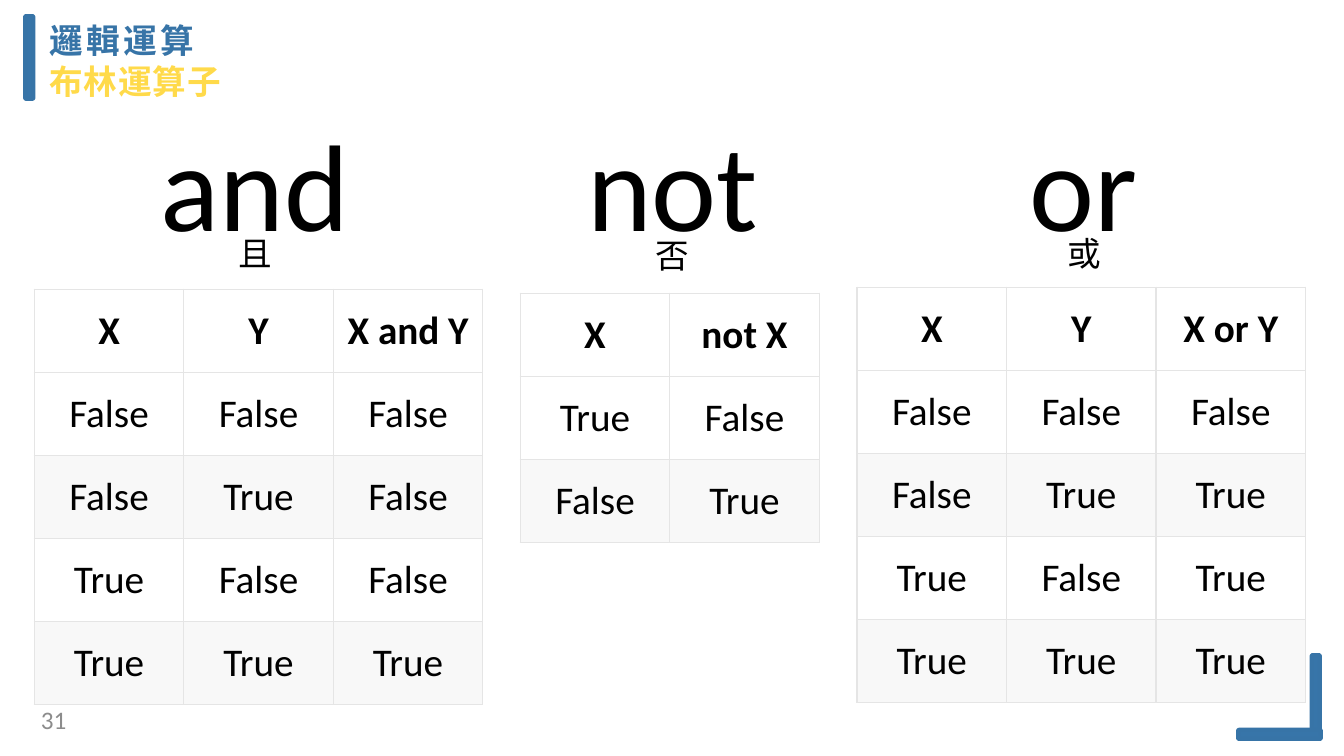
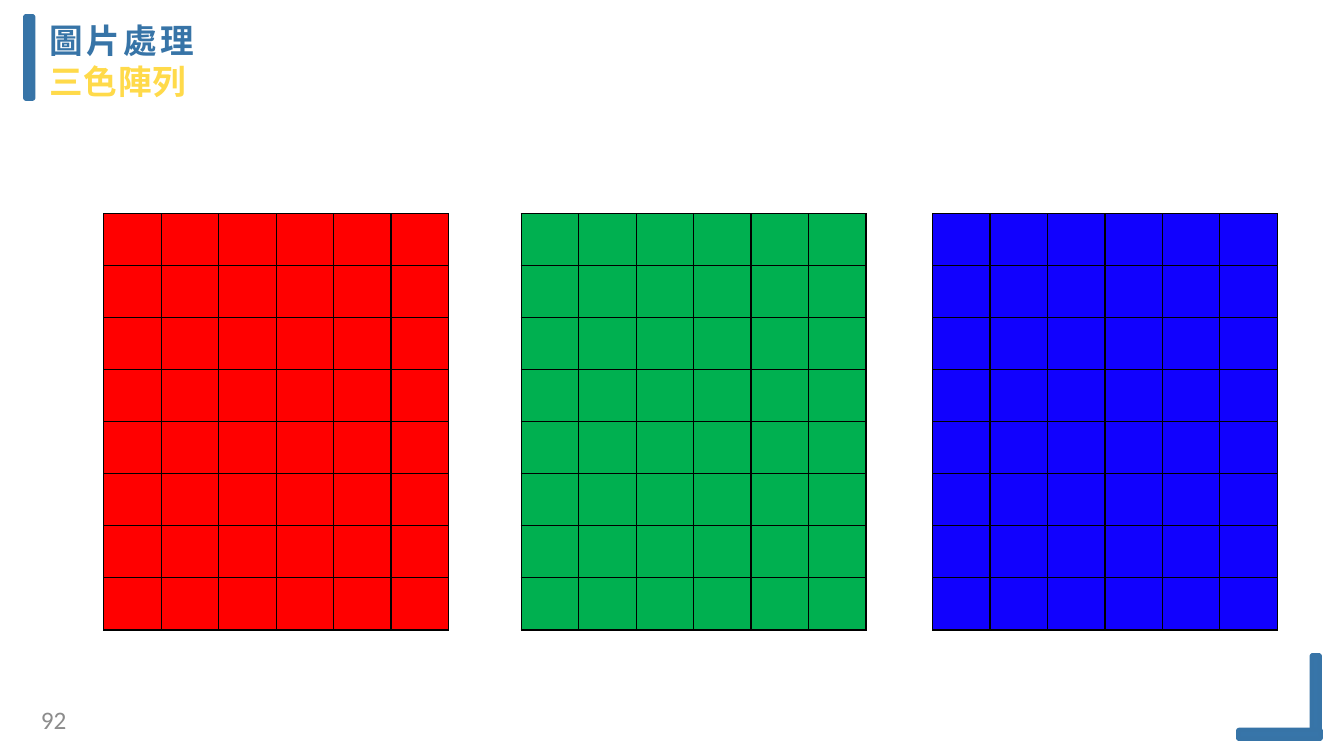
from dataclasses import dataclass

from lxml.etree import SubElement
from pptx import Presentation
from pptx.dml.color import RGBColor as RGB
from pptx.enum.shapes import MSO_SHAPE as SHAPE
from pptx.enum.text import MSO_ANCHOR as ANCHOR, MSO_AUTO_SIZE as FIT, PP_ALIGN as ALIGN
from pptx.oxml import parse_xml
from pptx.oxml.ns import nsdecls, qn
from pptx.util import Pt

PX = 9144


@dataclass(frozen=True)
class Theme:
    blue: str = "3774A7"
    bar: str = "3775A9"
    yellow: str = "FFDA4A"
    black: str = "000000"
    white: str = "FFFFFF"
    band: str = "F8F8F8"
    rule: str = "E5E5E5"
    grey: str = "8C8C8C"
    latin: str = "Calibri"
    cjk: str = "Noto Sans CJK SC"
    title_size: int = 24
    title_line: float = 28.5
    word_size: int = 88
    cell_size: int = 28
    number_size: int = 18
    bar_line: int = 3


T = Theme()

SIZE = (1333, 750)
TITLE_BOX = (48, 16, 452, 84)
NUMBER_BOX = (8, 699, 58, 30)
BARS = [(25, 16, 8, 82), (1301, 650, 8, 83), (1228, 724, 82, 9)]
WORD_TOP, WORD_W, WORD_H = 103, 250, 158
LABEL_W, LABEL_H = 92, 50
COL_W, ROW_H = 148.3, 82.4

LOGIC = {"lines": ("邏輯運算", "布林運算子"), "font": T.cjk, "number": "31"}
OPERATORS = [
    {"word": "and", "label": "且", "center": 253, "label_top": 231, "at": (34, 287),
     "rows": [("X", "Y", "X and Y"),
              ("False", "False", "False"),
              ("False", "True", "False"),
              ("True", "False", "False"),
              ("True", "True", "True")]},
    {"word": "not", "label": "否", "center": 667, "label_top": 233, "at": (516, 291),
     "rows": [("X", "not X"),
              ("True", "False"),
              ("False", "True")]},
    {"word": "or", "label": "或", "center": 1075, "label_top": 231, "at": (850, 285),
     "rows": [("X", "Y", "X or Y"),
              ("False", "False", "False"),
              ("False", "True", "True"),
              ("True", "False", "True"),
              ("True", "True", "True")]},
]

IMAGE = {"lines": ("圖片處理", "三色陣列"), "font": "Lato", "number": "92"}
CHANNELS = [(103, "FF0000"), (517, "00B050"), (925, "1101FE")]
GRID_TOP, GRID_W, GRID_H, GRID_COLS, GRID_ROWS = 212, 342, 413, 6, 8


def emu(*lengths):
    return [round(n * PX) for n in lengths]


def place(sp, box):
    sp.left, sp.top, sp.width, sp.height = emu(*box)


def write(p, text, *, size, color=T.black, font=T.latin, bold=False,
          align=ALIGN.LEFT, spacing=None):
    p.alignment = align
    r = p.add_run()
    r.text = text
    r.font.size, r.font.bold, r.font.name = Pt(size), bold, font
    r.font.color.rgb = RGB.from_string(color)
    props = r._r.get_or_add_rPr()
    SubElement(props, qn("a:ea")).set("typeface", T.cjk)
    if spacing is not None:
        props.set("spc", str(round(spacing * 100)))


def frame(tf, top=0, left=0):
    tf.word_wrap, tf.auto_size, tf.vertical_anchor = True, FIT.NONE, ANCHOR.TOP
    tf.margin_left, tf.margin_top = emu(left, top)
    tf.margin_right = tf.margin_bottom = 0


def add_text(s, box, text, *, top=0, **fmt):
    tf = s.shapes.add_textbox(*emu(*box)).text_frame
    frame(tf, top)
    write(tf.paragraphs[0], text, **fmt)


def add_bar(s, box):
    sp = s.shapes.add_shape(SHAPE.ROUNDED_RECTANGLE, *emu(*box))
    sp.adjustments[0] = 0.12
    sp.shadow.inherit = False
    sp.fill.solid()
    sp.fill.fore_color.rgb = RGB.from_string(T.bar)
    sp.line.color.rgb = RGB.from_string(T.blue)
    sp.line.width = Pt(T.bar_line)


def add_slide(prs, content):
    s = prs.slides.add_slide(prs.slide_layouts[5])
    place(s.shapes.title, TITLE_BOX)
    tf = s.shapes.title.text_frame
    frame(tf, top=4, left=1)
    for i, (line, color, spacing) in enumerate(
            zip(content["lines"], (T.blue, T.yellow), (2.4, 0.6))):
        p = tf.add_paragraph() if i else tf.paragraphs[0]
        p.line_spacing, p.space_before = Pt(T.title_line), Pt(i)
        write(p, line, size=T.title_size, color=color, font=content["font"],
              bold=True, spacing=spacing)
    for box in BARS:
        add_bar(s, box)
    add_text(s, NUMBER_BOX, content["number"], size=T.number_size,
             color=T.grey, align=ALIGN.RIGHT)
    return s


def style_cell(cell, fill, border):
    cell.fill.solid()
    cell.fill.fore_color.rgb = RGB.from_string(fill)
    cell.vertical_anchor = ANCHOR.MIDDLE
    cell.margin_left = cell.margin_right = 0
    for i, side in enumerate("LRTB"):
        cell._tc.get_or_add_tcPr().insert(i, parse_xml(
            f'<a:ln{side} {nsdecls("a")} w="12700"><a:solidFill>'
            f'<a:srgbClr val="{border}"/></a:solidFill></a:ln{side}>'))


def add_grid(s, box, rows, cols, fill_of, border):
    table = s.shapes.add_table(rows, cols, *emu(*box)).table
    table.first_row = table.horz_banding = False
    for col in table.columns:
        col.width = emu(box[2] / cols)[0]
    for i, row in enumerate(table.rows):
        row.height = emu(box[3] / rows)[0]
        for cell in row.cells:
            style_cell(cell, fill_of(i), border)
    return table


def band_fill(i):
    return T.band if i and i % 2 == 0 else T.white


def add_operator(s, op):
    center = op["center"]
    add_text(s, (center - WORD_W / 2, WORD_TOP, WORD_W, WORD_H), op["word"],
             top=5, size=T.word_size, align=ALIGN.CENTER)
    add_text(s, (center - LABEL_W / 2, op["label_top"], LABEL_W, LABEL_H), op["label"],
             size=T.title_size, font=T.cjk, align=ALIGN.CENTER)
    rows, cols = len(op["rows"]), len(op["rows"][0])
    table = add_grid(s, (*op["at"], cols * COL_W, rows * ROW_H), rows, cols,
                     band_fill, T.rule)
    table.first_row = True
    for i, values in enumerate(op["rows"]):
        for j, value in enumerate(values):
            write(table.cell(i, j).text_frame.paragraphs[0], value,
                  size=T.cell_size, bold=i == 0, align=ALIGN.CENTER)


def main():
    prs = Presentation()
    prs.slide_width, prs.slide_height = emu(*SIZE)
    s = add_slide(prs, LOGIC)
    for op in OPERATORS:
        add_operator(s, op)
    s = add_slide(prs, IMAGE)
    for left, color in CHANNELS:
        add_grid(s, (left, GRID_TOP, GRID_W, GRID_H), GRID_ROWS, GRID_COLS,
                 lambda i: color, T.black)
    prs.save("out.pptx")


if __name__ == "__main__":
    main()
